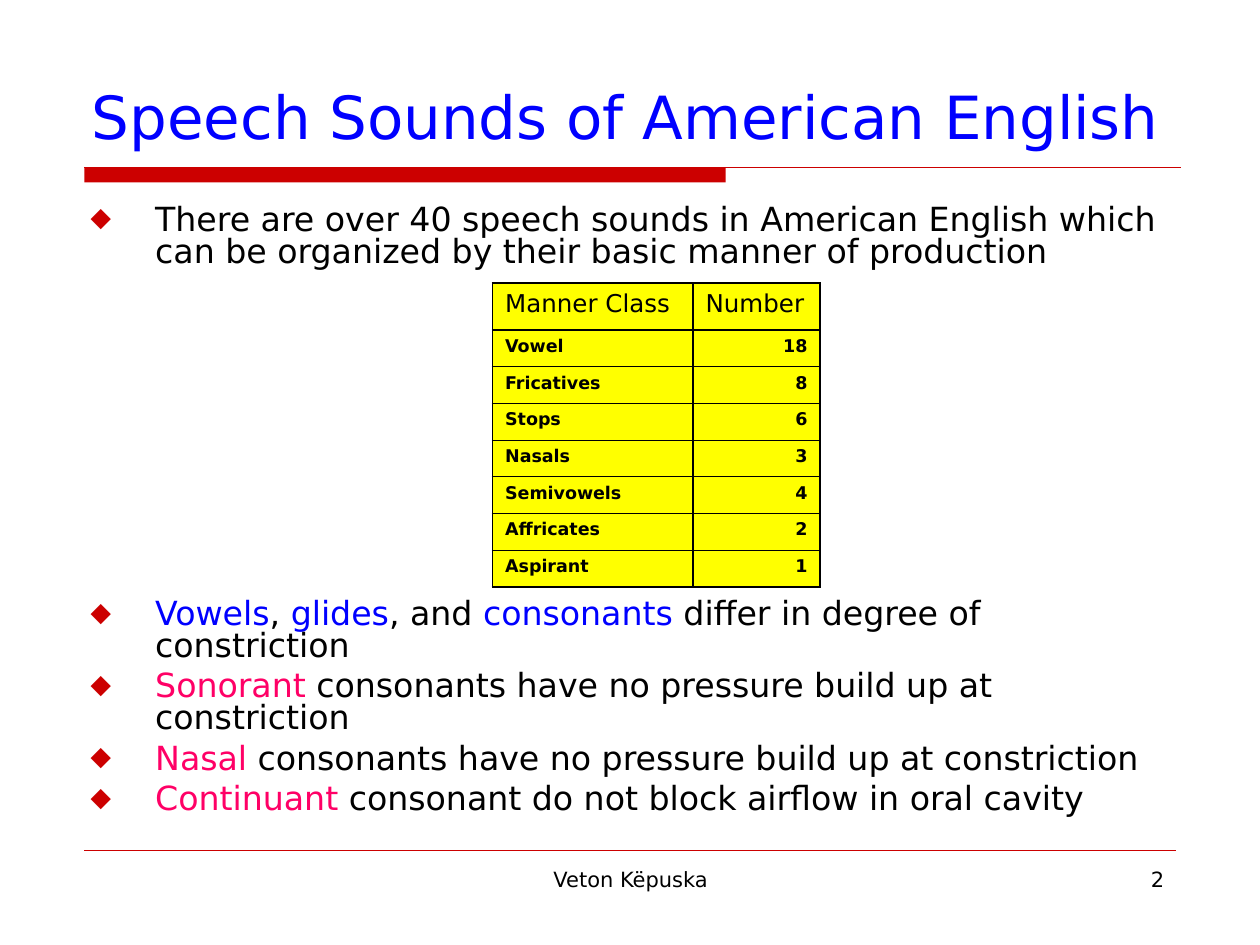
from lxml import etree
from pptx import Presentation
from pptx import util as u
from pptx.dml import color
from pptx.enum import shapes, text
from pptx.oxml import ns

FONT = "DejaVu Sans"
COLORS = {"black": "000000", "blue": "0000FF", "red": "CC0000", "pink": "FF0066", "yellow": "FFFF00"}


def add_run(paragraph, words, size, ink="black", bold=False):
    run = paragraph.add_run()
    run.text = words
    for name, value in {"name": FONT, "size": u.Pt(size), "bold": bold}.items():
        setattr(run.font, name, value)
    run.font.color.rgb = color.RGBColor.from_string(COLORS[ink])


def add_element(parent, tag, **attributes):
    element = etree.SubElement(parent, ns.qn(tag))
    for name, value in attributes.items():
        element.set(name, str(value))
    return element


presentation = Presentation()
presentation.slide_width, presentation.slide_height = u.Cm(25.4), u.Cm(19.05)
slide = presentation.slides.add_slide(presentation.slide_layouts[5])

bar = slide.shapes.add_shape(shapes.MSO_SHAPE.RECTANGLE, u.Cm(1.7), u.Cm(3.38), u.Cm(12.93), u.Cm(0.3))
bar.shadow.inherit = False
bar.fill.solid()
bar.fill.fore_color.rgb = color.RGBColor.from_string(COLORS["red"])
bar.line.fill.background()

for right, top, width in [(23.8, 3.38, 0.75), (23.7, 17.15, 0.25)]:
    rule = slide.shapes.add_connector(
        shapes.MSO_CONNECTOR.STRAIGHT, u.Cm(1.7), u.Cm(top), u.Cm(right), u.Cm(top))
    rule.line.width = u.Pt(width)
    rule.line.color.rgb = color.RGBColor.from_string(COLORS["red"])
    add_element(rule.element.spPr, "a:effectLst")

title = slide.shapes.title
title_place = {"left": u.Cm(1.6), "top": u.Cm(0.84), "width": u.Cm(22.23), "height": u.Cm(2.34)}
for name, value in title_place.items():
    setattr(title, name, value)
title_format = {"vertical_anchor": text.MSO_ANCHOR.BOTTOM, "auto_size": text.MSO_AUTO_SIZE.NONE, "word_wrap": True}
for name, value in title_format.items():
    setattr(title.text_frame, name, value)
paragraph = title.text_frame.paragraphs[0]
paragraph.alignment = text.PP_ALIGN.LEFT
add_run(paragraph, "Speech Sounds of American English", 34, "blue")

bullets = [
    (0, [("There are over 40 speech sounds in American English which can be organized "
          "by their basic manner of production", "black")]),
    (189, [("Vowels", "blue"), (", ", "black"), ("glides", "blue"), (", and ", "black"),
           ("consonants", "blue"), (" differ in degree of constriction", "black")]),
    (4.8, [("Sonorant", "pink"), (" consonants have no pressure build up at constriction", "black")]),
    (4.8, [("Nasal", "pink"), (" consonants have no pressure build up at constriction", "black")]),
    (4.8, [("Continuant", "pink"), (" consonant do not block airflow in oral cavity", "black")]),
]
body = slide.shapes.add_textbox(u.Cm(1.58), u.Cm(4.02), u.Cm(22.23), u.Cm(12.7))
body.text_frame.word_wrap = True
for index, (space, runs) in enumerate(bullets):
    paragraph = body.text_frame.add_paragraph() if index else body.text_frame.paragraphs[0]
    for name, value in {"line_spacing": 0.8, "space_before": u.Pt(space)}.items():
        setattr(paragraph, name, value)
    properties = paragraph._p.get_or_add_pPr()
    properties.set("marL", str(u.Cm(1.3)))
    properties.set("indent", str(-u.Cm(1.3)))
    add_element(add_element(properties, "a:buClr"), "a:srgbClr", val=COLORS["red"])
    add_element(properties, "a:buSzPct", val=80000)
    add_element(properties, "a:buFont", typeface=FONT)
    add_element(properties, "a:buChar", char="◆")
    for words, ink in runs:
        add_run(paragraph, words, 19, ink)

rows = [("Manner Class", "Number"), ("Vowel", "18"), ("Fricatives", "8"), ("Stops", "6"),
        ("Nasals", "3"), ("Semivowels", "4"), ("Affricates", "2"), ("Aspirant", "1")]
widths, header_height, row_height = (4.04, 2.56), 0.94, 0.74
last = len(rows) - 1
frame = slide.shapes.add_table(
    len(rows), len(widths), u.Cm(9.93), u.Cm(5.71), u.Cm(sum(widths)), u.Cm(header_height + last * row_height))
table = frame.table
table.horz_banding = False
for column, width in zip(table.columns, widths):
    column.width = u.Cm(width)
for r, row in enumerate(rows):
    table.rows[r].height = u.Cm(row_height if r else header_height)
    for c, words in enumerate(row):
        cell = table.cell(r, c)
        borders = {
            "a:lnL": 0.75 if c else 1.08,
            "a:lnR": 1.08 if c else 0.75,
            "a:lnT": 1.08 if r < 2 else 0.45,
            "a:lnB": 1.08 if r in (0, last) else 0.45,
        }
        for tag, width in borders.items():
            border = add_element(cell._tc.get_or_add_tcPr(), tag, w=u.Pt(width))
            add_element(add_element(border, "a:solidFill"), "a:srgbClr", val=COLORS["black"])
        cell.fill.solid()
        cell.fill.fore_color.rgb = color.RGBColor.from_string(COLORS["yellow"])
        paragraph = cell.text_frame.paragraphs[0]
        paragraph.alignment = text.PP_ALIGN.RIGHT if r and c else text.PP_ALIGN.LEFT
        add_run(paragraph, words, 10 if r else 14, bold=r > 0)

footers = [("Veton Këpuska", 8.69, 8.05, text.PP_ALIGN.CENTER), ("2", 18.21, 5.51, text.PP_ALIGN.RIGHT)]
for words, left, width, alignment in footers:
    footer = slide.shapes.add_textbox(u.Cm(left), u.Cm(17.35), u.Cm(width), u.Cm(1.32))
    footer.text_frame.word_wrap = True
    paragraph = footer.text_frame.paragraphs[0]
    paragraph.alignment = alignment
    add_run(paragraph, words, 12)

presentation.save("out.pptx")
